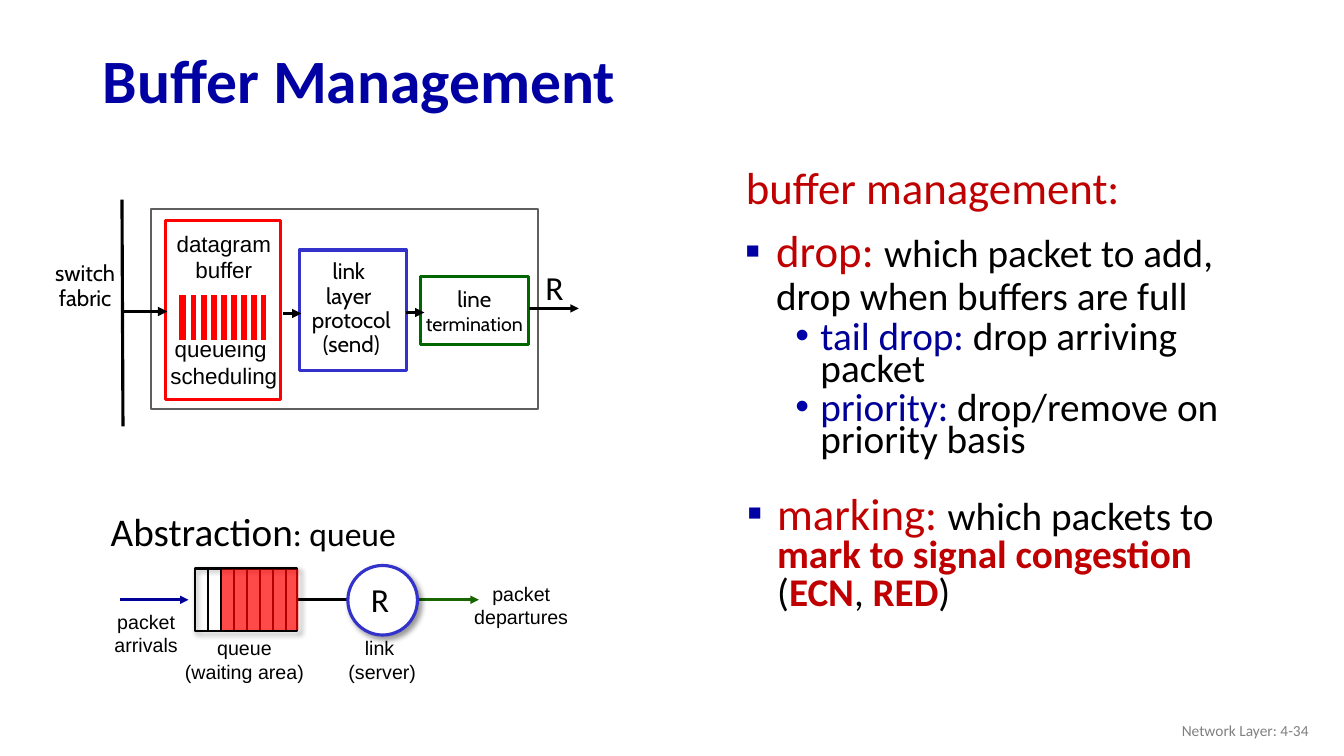
from dataclasses import dataclass

from lxml.etree import SubElement
from pptx import Presentation
from pptx.dml.color import RGBColor
from pptx.enum.shapes import MSO_CONNECTOR, MSO_SHAPE
from pptx.enum.text import MSO_ANCHOR, PP_ALIGN
from pptx.oxml.ns import qn
from pptx.util import Inches, Pt

BLACK, WHITE, RED = "000000", "FFFFFF", "FF0000"
NAVY, BLUE, CRIMSON = "0000A3", "000099", "C00000"
Box = tuple[float, float, float, float]


@dataclass
class Run:
    text: str
    size: float = 28
    color: str = BLACK
    bold: bool = False
    font: str = "Calibri"


@dataclass
class Para:
    runs: list[Run]
    spacing: float | Pt | None = None
    before: float = 0
    align: PP_ALIGN = PP_ALIGN.LEFT
    level: int = 0
    left: float = 0
    indent: float = 0
    bullet: str = ""
    bullet_color: str = NAVY


@dataclass
class Part:
    box: Box
    paras: list[Para] | None = None
    preset: MSO_SHAPE | None = None
    fill: str | None = None
    opacity: int = 100
    line: str | None = None
    width: float = 2.25
    shadow: bool = False
    wrap: bool = False
    anchor: MSO_ANCHOR = MSO_ANCHOR.TOP


@dataclass
class Link:
    start: tuple[float, float]
    end: tuple[float, float]
    color: str = BLACK
    width: float = 2.25
    arrow: bool = False


def rgb(color: str) -> RGBColor:
    return RGBColor.from_string(color)


def assign(target, values: dict) -> None:
    for name, value in values.items():
        setattr(target, name, value)


def centred(lines: list[Run], spacing: float | None = None) -> list[Para]:
    return [Para([line], spacing, align=PP_ALIGN.CENTER) for line in lines]


def write(frame, paras: list[Para], wrap: bool, anchor: MSO_ANCHOR) -> None:
    assign(frame, {"word_wrap": wrap, "vertical_anchor": anchor})
    for number, para in enumerate(paras):
        paragraph = frame.add_paragraph() if number else frame.paragraphs[0]
        assign(paragraph, {"alignment": para.align, "level": para.level,
                           "line_spacing": para.spacing, "space_before": Pt(para.before)})
        props = paragraph._p.get_or_add_pPr()
        props.set("marL", str(Inches(para.left)))
        props.set("indent", str(Inches(para.indent)))
        if para.bullet:
            SubElement(SubElement(props, qn("a:buClr")), qn("a:srgbClr"), val=para.bullet_color)
            SubElement(props, qn("a:buFont"), typeface="Arial")
            SubElement(props, qn("a:buChar"), char=para.bullet)
        for item in para.runs:
            run = paragraph.add_run()
            run.text = item.text
            assign(run.font, {"name": item.font, "size": Pt(item.size), "bold": item.bold})
            run.font.color.rgb = rgb(item.color)


def cast_shadow(shape) -> None:
    """Adds a soft shadow to the lower right."""
    effects = shape._element.spPr.find(qn("a:effectLst"))
    outer = SubElement(effects, qn("a:outerShdw"), blurRad=str(Pt(4)), dist=str(Pt(3)),
                       dir=str(45 * 60000), algn="tl", rotWithShape="0")
    color = SubElement(outer, qn("a:srgbClr"), val=BLACK)
    SubElement(color, qn("a:alpha"), val="40000")


def draw_part(slide, part: Part) -> None:
    place = [Inches(value) for value in part.box]
    if part.preset is None:
        shape = slide.shapes.add_textbox(*place)
    else:
        shape = slide.shapes.add_shape(part.preset, *place)
        shape.shadow.inherit = False
        if part.fill:
            shape.fill.solid()
            shape.fill.fore_color.rgb = rgb(part.fill)
            if part.opacity < 100:
                color = shape._element.spPr.find(qn("a:solidFill"))[0]
                SubElement(color, qn("a:alpha"), val=str(part.opacity * 1000))
        else:
            shape.fill.background()
        if part.line:
            shape.line.color.rgb = rgb(part.line)
            shape.line.width = Pt(part.width)
        else:
            shape.line.fill.background()
        if part.shadow:
            cast_shadow(shape)
    if part.paras:
        write(shape.text_frame, part.paras, part.wrap, part.anchor)


def draw_link(slide, link: Link) -> None:
    ends = [Inches(value) for value in (*link.start, *link.end)]
    connector = slide.shapes.add_connector(MSO_CONNECTOR.STRAIGHT, *ends)
    connector.line.color.rgb = rgb(link.color)
    connector.line.width = Pt(link.width)
    if link.arrow:
        SubElement(connector.line._get_or_add_ln(), qn("a:tailEnd"), type="triangle")
    SubElement(connector._element.spPr, qn("a:effectLst"))


def panel(box: Box, line: str | None = None, width: float = 2.25, fill: str | None = WHITE,
          paras: list[Para] | None = None, **extra) -> Part:
    return Part(box, paras, MSO_SHAPE.RECTANGLE, fill, line=line, width=width,
                anchor=MSO_ANCHOR.MIDDLE, **extra)


def label(box: Box, *lines: str, size: float = 14) -> Part:
    return Part(box, centred([Run(line, size, font="Arial") for line in lines]))


def cabin(*lines: str) -> list[Para]:
    return centred([Run(line, 16, font="Cabin") for line in lines], 0.9)


def rate(left: float, top: float) -> Part:
    return Part((left, top, 0.38, 0.5), [Para([Run("R", 24)])])


def policy(name: str, meaning: str) -> Para:
    return Para([Run(name, color=BLUE), Run(meaning)], Pt(22.8), 5, level=1,
                left=0.76, indent=-0.25, bullet="•", bullet_color="0000A8")


port = [
    panel((1.5, 2.07, 3.84, 1.99), "5F5F5F", 1.5),
    panel((4.17, 2.74, 1.07, 0.68), "006600", paras=centred(
        [Run("line", 16, font="Cabin"), Run("termination", 14, font="Cabin")])),
    panel((2.97, 2.48, 1.06, 1.2), "3333CC"),
    panel((3, 2.64, 0.97, 0.85), paras=cabin("link ", "layer ", "protocol", "(send)")),
    panel((0.36, 2.42, 0.97, 0.85), paras=cabin("switch", "fabric")),
    panel((1.64, 2.19, 1.14, 1.77), RED),
    label((1.57, 2.23, 1.3, 0.63), "datagram", "buffer", size=16),
    label((1.57, 3.28, 1.3, 0.63), "queueing ", "scheduling", size=16),
    panel((1.75, 2.91, 0.91, 0.48), WHITE, 3, RED),
    panel((1.93, 5.64, 1.02, 0.62), BLACK, 1.5, None, shadow=True),
]
buffer_gaps = [Link((1.87 + 0.1 * i, 2.92), (1.87 + 0.1 * i, 3.38), WHITE, 3) for i in range(8)]
queue_slots = [Link((2.06 + 0.13 * i, 5.64), (2.06 + 0.13 * i, 6.25), width=1.5) for i in range(7)]
flows = [
    Link((2.81, 3.11), (2.99, 3.11), arrow=True),
    Link((4.03, 3.1), (4.21, 3.1), arrow=True),
    Link((1.21, 1.98), (1.22, 4.23)),
    Link((1.2, 3.09), (1.66, 3.09), arrow=True),
    Link((5.25, 3.06), (5.74, 3.06), width=2, arrow=True),
    Link((1.19, 5.95), (1.87, 5.95), BLUE, 2, True),
    Link((4.14, 5.95), (4.75, 5.95), "186600", 2, True),
    Link((2.96, 5.95), (3.45, 5.95), width=2),
]
queue = [
    panel((2.2, 5.65, 0.76, 0.6), fill=RED, opacity=71),
    Part((3.45, 5.61, 0.69, 0.69), preset=MSO_SHAPE.OVAL, fill=WHITE, line="3333CC", shadow=True),
    label((1.73, 6.26, 1.39, 0.57), "queue", "(waiting area)"),
    label((1.03, 6, 0.84, 0.57), "packet", "arrivals"),
    label((4.6, 5.72, 1.14, 0.57), "packet", "departures"),
    label((3.3, 6.26, 0.93, 0.57), "link", " (server)"),
    Part((1, 4.98, 3.07, 0.57), [Para([Run("Abstraction"), Run(": queue", 24)])]),
    rate(5.31, 2.6),
    rate(3.58, 5.69),
]
explanation = [
    Part((7.28, 1.6, 5.43, 5.48), [
        Para([Run("buffer management:", 32, CRIMSON)], 0.9, left=0.26, indent=-0.24),
        Para([Run("drop: ", 32, CRIMSON), Run("which packet to add, drop when buffers are full")],
             0.9, 10, left=0.32, indent=-0.31, bullet="▪"),
        policy("tail drop: ", "drop arriving packet"),
        policy("priority: ", "drop/remove on priority basis"),
    ], wrap=True),
    Part((7.16, 4.87, 5.43, 1.33), [
        Para([Run("marking: ", 32, CRIMSON), Run("which packets to "),
              Run("mark to signal congestion ", color=CRIMSON, bold=True), Run("("),
              Run("ECN", color=CRIMSON, bold=True), Run(", "),
              Run("RED", color=CRIMSON, bold=True), Run(")")],
             0.8, left=0.45, indent=-0.3, bullet="▪"),
    ], wrap=True),
    Part((10.08, 7.05, 3, 0.4), [
        Para([Run("Network Layer: 4-34", 11, "808080")], align=PP_ALIGN.RIGHT),
    ], wrap=True, anchor=MSO_ANCHOR.MIDDLE),
]


def main() -> None:
    deck = Presentation()
    assign(deck, {"slide_width": Inches(13.33), "slide_height": Inches(7.5)})
    slide = deck.slides.add_slide(deck.slide_layouts[5])
    title = slide.shapes.title
    assign(title, {"left": Inches(0.92), "top": Inches(0.34),
                   "width": Inches(11.5), "height": Inches(0.98)})
    write(title.text_frame, [Para([Run("Buffer Management", 44, NAVY, True)], 0.9)],
          True, MSO_ANCHOR.MIDDLE)
    for part in port:
        draw_part(slide, part)
    for link in buffer_gaps + queue_slots + flows:
        draw_link(slide, link)
    for part in queue + explanation:
        draw_part(slide, part)
    deck.save("out.pptx")


if __name__ == "__main__":
    main()
